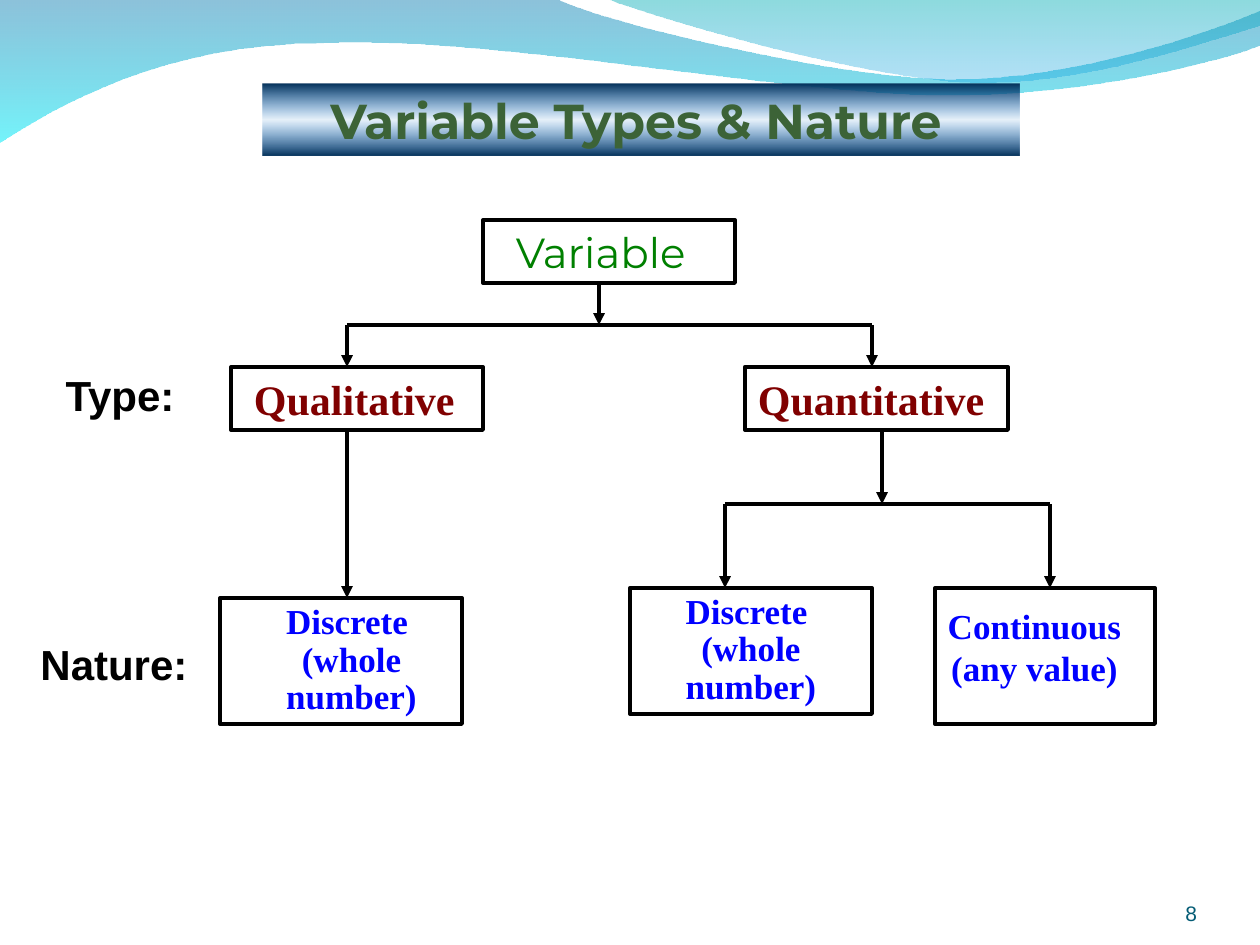
from lxml.etree import SubElement
from pptx import Presentation
from pptx.dml.color import RGBColor
from pptx.enum.shapes import MSO_CONNECTOR, MSO_SHAPE
from pptx.enum.text import MSO_ANCHOR, MSO_AUTO_SIZE, PP_ALIGN
from pptx.oxml import parse_xml
from pptx.oxml.ns import nsdecls, qn
from pptx.util import Emu, Pt

SCALE = 914400 / 126
WIDTH, HEIGHT = 1260, 945

BLACK = RGBColor(0x00, 0x00, 0x00)
WHITE = RGBColor(0xFF, 0xFF, 0xFF)
OLIVE = RGBColor(0x3C, 0x63, 0x37)
GREEN = RGBColor(0x00, 0x80, 0x00)
MAROON = RGBColor(0x80, 0x00, 0x00)
BLUE = RGBColor(0x00, 0x00, 0xFF)
TEAL = RGBColor(0x04, 0x5C, 0x75)
NAVY = RGBColor(0x07, 0x33, 0x5C)
SKY = RGBColor(0x0F, 0x6F, 0xC6)

SERIF, SANS, DISPLAY = "Times New Roman", "Arial", "Montserrat"
LEFT, CENTER, RIGHT = PP_ALIGN.LEFT, PP_ALIGN.CENTER, PP_ALIGN.RIGHT
TOP, MIDDLE, BOTTOM = MSO_ANCHOR.TOP, MSO_ANCHOR.MIDDLE, MSO_ANCHOR.BOTTOM

# Gradient stops: position %, colour, opacity %
TITLE_STOPS = [(0, NAVY, 100), (50, SKY, 10), (100, NAVY, 100)]

# Segments with one point are straight, with three points are Bezier curves
WAVES = [
    ((0, 0),
     [[(558, 0)],
      [(600, 21), (837, 79), (955, 79)],
      [(1075, 79), (1207, 33), (1260, 11)],
      [(1260, 45)],
      [(1239, 55), (1096, 96), (940, 95)],
      [(784, 94), (481, 35), (324, 43)],
      [(163, 44), (58, 105), (0, 142)]],
     [(0, RGBColor(0x00, 0x79, 0xAF), 45), (100, RGBColor(0x00, 0xEB, 0xF8), 55)]),
    ((608, 0),
     [[(641, 14), (859, 78), (969, 82)],
      [(1079, 87), (1211, 40), (1260, 26)],
      [(1260, 0)]],
     [(0, RGBColor(0x00, 0xAD, 0xB6), 45), (100, RGBColor(0x00, 0x9B, 0xE5), 30)]),
]

TITLE = ("Variable Types & Nature", (263, 84, 756, 72))

# Paragraphs, rectangle, insets (left, top, right), alignment, line spacing, font
TOPIC_FONT = (DISPLAY, 24, GREEN, False)
TYPE_FONT = (SERIF, 24, MAROON, True)
NATURE_FONT = (SERIF, 20, BLUE, True)
DISCRETE = ["Discrete ", "(whole number)"]
BOXES = [
    (["Variable"], (483, 220, 252, 63), (33, 7, 13), LEFT, 1, TOPIC_FONT),
    (["Qualitative"], (231, 367, 252, 63), (23, 7, 13), LEFT, 1, TYPE_FONT),
    (["Quantitative"], (745, 367, 263, 63), (13, 7, 13), LEFT, 1, TYPE_FONT),
    (DISCRETE, (220, 598, 242, 126), (24, 6, 3), CENTER, 0.9, NATURE_FONT),
    (DISCRETE, (630, 588, 242, 126), (13, 6, 13), CENTER, 0.9, NATURE_FONT),
    (["Continuous (any value)"], (935, 588, 220, 136), (8, 17, 29), CENTER, 1,
     NATURE_FONT),
]

# Start, end, arrowhead
LINES = [
    ((599, 283), (599, 325), True),
    ((347, 325), (872, 325), False),
    ((347, 325), (347, 367), True),
    ((872, 325), (872, 367), True),
    ((347, 430), (347, 598), True),
    ((882, 430), (882, 504), True),
    ((725, 504), (1050, 504), False),
    ((725, 504), (725, 588), True),
    ((1050, 504), (1050, 588), True),
]

# Text, rectangle, insets, alignment, anchor, font
LABEL_FONT = (SANS, 24, BLACK, True)
LABELS = [
    ("Type:", (62, 358, 116, 73), (0, 0, 0), CENTER, MIDDLE, LABEL_FONT),
    ("Nature:", (38, 626, 152, 76), (0, 0, 0), CENTER, MIDDLE, LABEL_FONT),
    ("8", (1092, 876, 105, 50), (0, 0, 0), RIGHT, BOTTOM, (SANS, 12, TEAL, False)),
]


def px(n):
    return Emu(round(n * SCALE))


def fill_gradient(s, stops):
    """Fill a shape with a top-to-bottom gradient."""
    s.fill.background()
    gs = "".join(
        f'<a:gs pos="{pos * 1000}"><a:srgbClr val="{color}">'
        f'<a:alpha val="{opacity * 1000}"/></a:srgbClr></a:gs>'
        for pos, color, opacity in stops)
    grad = parse_xml(f'<a:gradFill {nsdecls("a")} rotWithShape="1"><a:gsLst>{gs}</a:gsLst>'
                     '<a:lin ang="5400000" scaled="0"/></a:gradFill>')
    sp_pr = s._element.spPr
    sp_pr.replace(sp_pr.find(qn("a:noFill")), grad)


def bend(s, segments):
    """Turn each run of three straight steps into one Bezier curve."""
    steps = iter(list(s._element.iter(qn("a:lnTo"))))
    for segment in segments:
        parts = [next(steps) for _ in segment]
        if len(parts) == 3:
            curve = parse_xml(f'<a:cubicBezTo {nsdecls("a")}/>')
            parts[0].addprevious(curve)
            for part in parts:
                curve.append(part[0])
                part.getparent().remove(part)


def add_wave(slide, start, segments, stops):
    points = [start] + [point for segment in segments for point in segment]
    emu = [(px(x), px(y)) for x, y in points]
    builder = slide.shapes.build_freeform(*emu[0], scale=1.0)
    builder.add_line_segments(emu[1:], close=True)
    s = builder.convert_to_shape()
    bend(s, segments)
    s.shadow.inherit = False
    s.line.fill.background()
    fill_gradient(s, stops)
    return s


def write(s, paragraphs, insets, align, anchor, spacing, font):
    name, size, color, bold = font
    tf = s.text_frame
    tf.word_wrap = True
    tf.auto_size = MSO_AUTO_SIZE.NONE
    tf.vertical_anchor = anchor
    tf.margin_left, tf.margin_top, tf.margin_right = map(px, insets)
    tf.margin_bottom = 0
    for i, text in enumerate(paragraphs):
        p = tf.add_paragraph() if i else tf.paragraphs[0]
        p.alignment = align
        p.line_spacing = spacing
        r = p.add_run()
        r.text = text
        r.font.name, r.font.size, r.font.bold = name, Pt(size), bold
        r.font.color.rgb = color


def add_line(slide, start, end, arrow):
    s = slide.shapes.add_connector(MSO_CONNECTOR.STRAIGHT, *map(px, start + end))
    s.line.color.rgb = BLACK
    s.line.width = Pt(2.25)
    if arrow:
        SubElement(s.line._get_or_add_ln(), qn("a:tailEnd"), type="triangle")
    SubElement(s._element.spPr, qn("a:effectLst"))


def main():
    prs = Presentation()
    prs.slide_width, prs.slide_height = px(WIDTH), px(HEIGHT)
    slide = prs.slides.add_slide(prs.slide_layouts[5])
    slide.background.fill.solid()
    slide.background.fill.fore_color.rgb = WHITE

    title = slide.shapes.title
    for wave in WAVES:
        title._element.addprevious(add_wave(slide, *wave)._element)

    text, rect = TITLE
    title.left, title.top, title.width, title.height = map(px, rect)
    fill_gradient(title, TITLE_STOPS)
    write(title, [text], (13, 7, 23), CENTER, TOP, 1, (DISPLAY, 28, OLIVE, True))

    for paragraphs, rect, insets, align, spacing, font in BOXES:
        s = slide.shapes.add_shape(MSO_SHAPE.RECTANGLE, *map(px, rect))
        s.shadow.inherit = False
        s.fill.background()
        s.line.color.rgb = BLACK
        s.line.width = Pt(2.25)
        write(s, paragraphs, insets, align, TOP, spacing, font)

    for line in LINES:
        add_line(slide, *line)

    for text, rect, insets, align, anchor, font in LABELS:
        s = slide.shapes.add_textbox(*map(px, rect))
        write(s, [text], insets, align, anchor, 1, font)

    prs.save("out.pptx")


if __name__ == "__main__":
    main()
